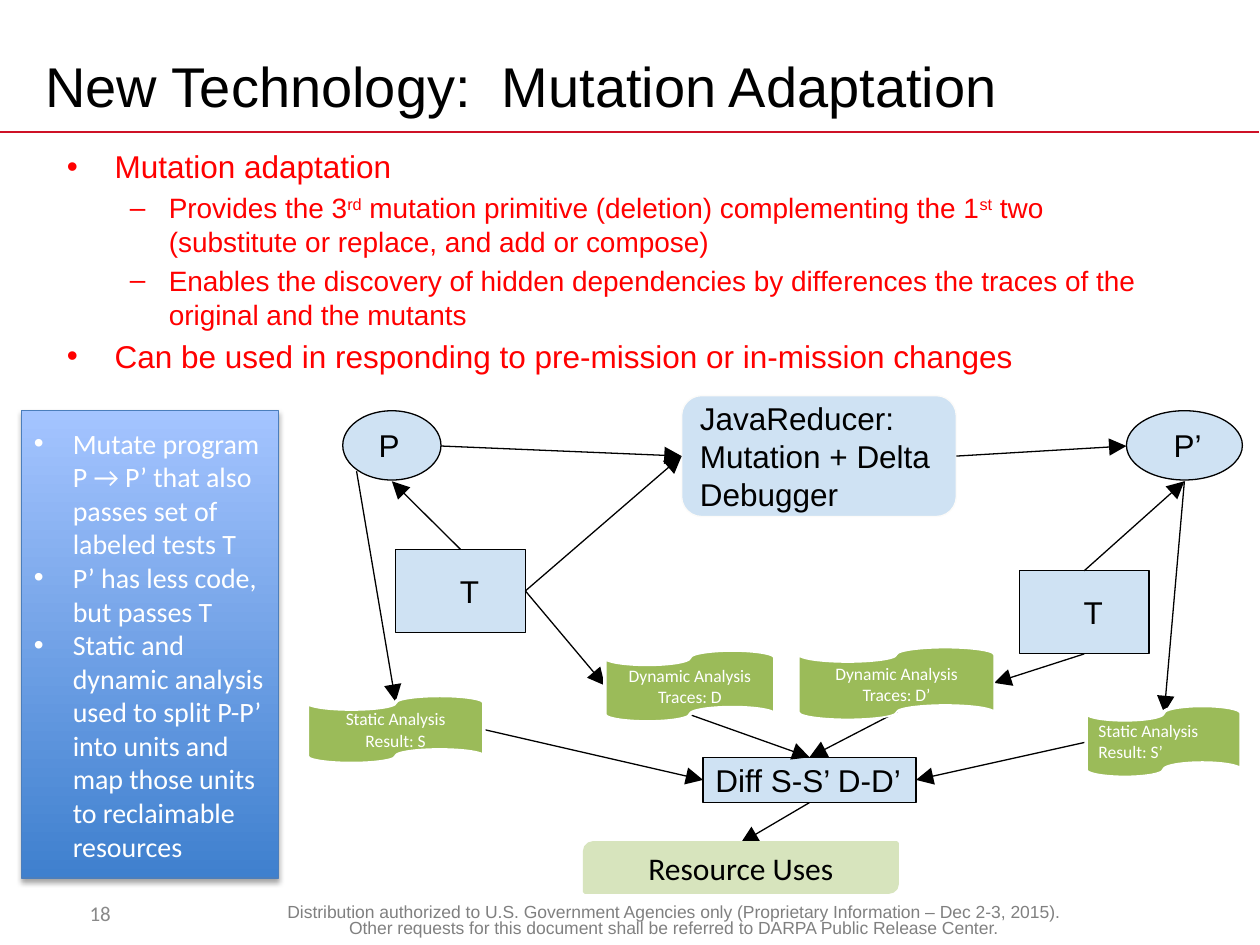
import pptx
import pptx.util
import pptx.dml.color
import pptx.enum.shapes
import pptx.enum.text
import pptx.oxml
import pptx.oxml.ns
from lxml import etree

Pt = pptx.util.Pt
Kind = pptx.enum.shapes.MSO_SHAPE
Align = pptx.enum.text.PP_ALIGN
Anchor = pptx.enum.text.MSO_ANCHOR

PX = 9144
THEME = {
    "ink": "000000", "white": "FFFFFF", "red": "FF0000", "rule": "CE1126",
    "node": "CFE2F3", "pale_line": "FCFBF9", "tape": "9BBB59", "result": "D7E4BD",
    "panel_low": "3F80CE", "panel_high": "A4C4FF", "panel_line": "4B7EBC",
    "footer": "808080", "number": "898989",
    "title_size": 32, "large": 18, "medium": 16, "number_size": 12, "small": 10,
    "sans": "Arial", "humanist": "Calibri",
}

TITLE = "New Technology:  Mutation Adaptation"
BODY = [
    (0, [("Mutation adaptation", False)]),
    (1, [("Provides the 3", False), ("rd", True),
         (" mutation primitive (deletion) complementing the 1", False), ("st", True),
         (" two (substitute or replace, and add or compose)", False)]),
    (1, [("Enables the discovery of hidden dependencies by differences the traces "
          "of the original and the mutants", False)]),
    (0, [("Can be used in responding to pre-mission or in-mission changes", False)]),
]
PANEL = [
    "Mutate program P → P’ that also passes set of labeled tests T",
    "P’ has less code, but passes T",
    "Static and dynamic analysis used to split P-P’ into units and map those units "
    "to reclaimable resources",
]
FOOTER = ("Distribution authorized to U.S. Government Agencies only (Proprietary Information "
          "– Dec 2-3, 2015). Other requests for this document shall be referred to DARPA "
          "Public Release Center.")

NODES = {
    "program": (Kind.OVAL, (272, 326, 78, 55), "P", 17, "ink"),
    "tests": (Kind.RECTANGLE, (314, 436, 103, 66), "T", 51, "ink"),
    "reducer": (Kind.ROUNDED_RECTANGLE, (541, 314, 218, 96),
                "JavaReducer: Mutation + Delta Debugger", 10, "pale_line"),
    "mutant tests": (Kind.RECTANGLE, (809, 453, 103, 66), "T", 51, "ink"),
    "mutant": (Kind.OVAL, (894, 326, 92, 55), "P’", 24, "ink"),
    "diff": (Kind.RECTANGLE, (558, 601, 169, 36), "Diff S-S’ D-D’", 10, "ink"),
}
TOP, LEFT, BOTTOM, RIGHT = range(4)
ARROWS = [
    (("tests", TOP), (311, 382)),
    (("tests", RIGHT), (480, 544)),
    ((350, 354), ("reducer", LEFT)),
    (("tests", RIGHT), ("reducer", LEFT)),
    (("reducer", RIGHT), (894, 354)),
    (("mutant tests", TOP), (940, 382)),
    ((283, 374), (314, 557)),
    ((940, 382), (924, 566)),
    ((384, 579), ("diff", LEFT)),
    ((547, 567), ("diff", TOP)),
    ((712, 565), ("diff", TOP)),
    ((862, 589), ("diff", RIGHT)),
    (("diff", BOTTOM), (588, 669)),
    (("mutant tests", BOTTOM), (789, 542)),
]
TAPES = [
    ((244, 552, 140, 54), "Static Analysis Result: S", Align.CENTER, 2),
    ((480, 516, 135, 57), "Dynamic Analysis Traces: D", Align.CENTER, 2),
    ((862, 560, 123, 57), "Static Analysis Result: S’", Align.LEFT, 2),
    ((634, 514, 155, 57), "Dynamic Analysis Traces: D’", Align.CENTER, 1),
]


def assign(target, values):
    for name, value in values.items():
        setattr(target, name, value)


def colour(name):
    return pptx.dml.color.RGBColor.from_string(THEME[name])


def scaled(lengths):
    return [length * PX for length in lengths]


def place(box, frame):
    assign(box, dict(zip(("left", "top", "width", "height"), scaled(frame))))


def set_font(font, size, face, tint):
    assign(font, {"size": Pt(THEME[size]), "name": THEME[face]})
    font.color.rgb = colour(tint)


def write(box, text, size, face, tint, align=Align.LEFT, **frame_values):
    assign(box.text_frame, {"word_wrap": True, "vertical_anchor": Anchor.MIDDLE, **frame_values})
    para = box.text_frame.paragraphs[0]
    para.text = text
    para.alignment = align
    set_font(para.runs[0].font, size, face, tint)
    return para


def add_element(parent, tag, **values):
    element = etree.SubElement(parent, pptx.oxml.ns.qn(tag))
    for name, value in values.items():
        element.set(name, str(value))
    return element


def set_bullet(para, mark, margin, hang):
    properties = para._p.get_or_add_pPr()
    properties.set("marL", str(margin * PX))
    properties.set("indent", str(-hang * PX))
    add_element(properties, "a:buFont", typeface=THEME["sans"])
    add_element(properties, "a:buChar", char=mark)


def add_box(page, kind, frame, fill, line, weight):
    box = page.shapes.add_shape(kind, *scaled(frame))
    box.shadow.inherit = False
    if fill:
        box.fill.solid()
        box.fill.fore_color.rgb = colour(fill)
    box.line.color.rgb = colour(line)
    box.line.width = Pt(weight)
    return box


def add_line(page, start, end, tint, weight):
    line = page.shapes.add_connector(
        pptx.enum.shapes.MSO_CONNECTOR.STRAIGHT, *scaled(start + end))
    line.line.color.rgb = colour(tint)
    line.line.width = Pt(weight)
    add_element(line._element.spPr, "a:effectLst")
    return line


def fill_placeholders(page):
    title, body = page.shapes.title, page.placeholders[1]
    plain = {"auto_size": pptx.enum.text.MSO_AUTO_SIZE.NONE}
    place(title, (26, 30, 900, 75))
    write(title, TITLE, "title_size", "sans", "ink", **plain)
    place(body, (43, 112, 900, 611))
    assign(body.text_frame, plain)
    levels = [("•", 38, 38, "large"), ("–", 81, 31, "medium")]
    for index, (level, spans) in enumerate(BODY):
        para = body.text_frame.add_paragraph() if index else body.text_frame.paragraphs[0]
        mark, margin, hang, size = levels[level]
        para.level = level
        if index == 0:
            para.space_before = Pt(0)
        set_bullet(para, mark, margin, hang)
        for text, raised in spans:
            span = para.add_run()
            span.text = text
            set_font(span.font, size, "sans", "red")
            if raised:
                span._r.get_or_add_rPr().set("baseline", "30000")


def add_panel(page):
    panel = add_box(page, Kind.RECTANGLE, (17, 326, 204, 371), None, "panel_line", 0.75)
    panel.fill.gradient()
    panel.fill.gradient_angle = 90
    for stop, tint in zip(panel.fill.gradient_stops, ("panel_low", "panel_high")):
        stop.color.rgb = colour(tint)
    effects = panel._element.spPr.find(pptx.oxml.ns.qn("a:effectLst"))
    shadow = add_element(effects, "a:outerShdw", blurRad=Pt(3.1), dist=Pt(1.8),
                         dir=90 * 60000, rotWithShape=0)
    add_element(add_element(shadow, "a:srgbClr", val=THEME["ink"]), "a:alpha", val=35000)
    assign(panel.text_frame, {"word_wrap": True, "vertical_anchor": Anchor.MIDDLE})
    for index, text in enumerate(PANEL):
        para = panel.text_frame.add_paragraph() if index else panel.text_frame.paragraphs[0]
        para.text = text
        para.alignment = Align.LEFT
        set_bullet(para, "•", 31, 31)
        set_font(para.runs[0].font, "medium", "humanist", "white")


def add_diagram(page):
    boxes = {}
    for name, (kind, frame, text, inset, line) in NODES.items():
        boxes[name] = add_box(page, kind, frame, "node", line, 0.75)
        margins = dict.fromkeys(("margin_top", "margin_right", "margin_bottom"), 10 * PX)
        write(boxes[name], text, "large", "sans", "ink", margin_left=inset * PX, **margins)
    for ends in ARROWS:
        points = [(0, 0) if end[0] in boxes else end for end in ends]
        arrow = add_line(page, *points, "ink", 0.75)
        add_element(arrow.line._get_or_add_ln(), "a:tailEnd", type="triangle", w="lg", len="lg")
        for end, connect in zip(ends, (arrow.begin_connect, arrow.end_connect)):
            if end[0] in boxes:
                connect(boxes[end[0]], end[1])
    for frame, text, align, weight in TAPES:
        tape = add_box(page, Kind.FLOWCHART_PUNCHED_TAPE, frame, "tape", "white", weight)
        write(tape, text, "small", "humanist", "white", align)
    result = add_box(page, Kind.ROUND_2_DIAG_RECTANGLE, (464, 669, 248, 39), "result", "result", 2)
    write(result, "Resource Uses", "large", "humanist", "ink", Align.CENTER)


def main():
    deck = pptx.Presentation()
    assign(deck, {"slide_width": 1000 * PX, "slide_height": 750 * PX})
    page = deck.slides.add_slide(deck.slide_layouts[1])
    fill_placeholders(page)
    add_line(page, (0, 105), (999, 105), "rule", 1)
    footer = page.shapes.add_textbox(*scaled((211, 713, 647, 31)))
    para = write(footer, FOOTER, "small", "sans", "footer", Align.CENTER,
                 vertical_anchor=Anchor.TOP)
    para.line_spacing = 0.8
    add_panel(page)
    number = page.shapes.add_textbox(*scaled((10, 705, 139, 40)))
    write(number, "18", "number_size", "humanist", "number", Align.CENTER)
    add_diagram(page)
    deck.save("out.pptx")


if __name__ == "__main__":
    main()
